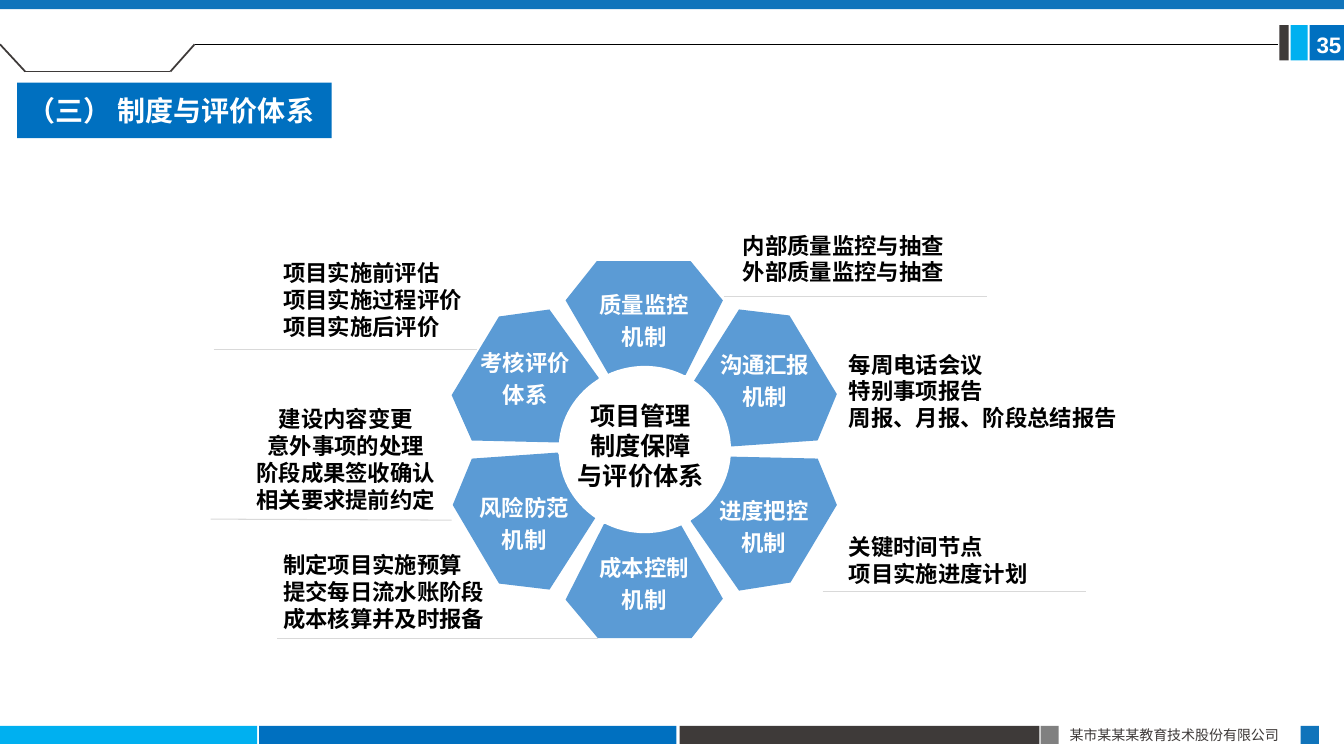
from pptx import Presentation
from pptx.dml.color import RGBColor
from pptx.enum import shapes, text
from pptx.oxml import ns
from pptx.util import Inches, Pt
from lxml import etree

COLORS = {
    "sky": "00B0F0", "blue": "0070C0", "band": "1074BB", "petal": "5B9BD5",
    "dark": "3E3A39", "gray": "808080", "rule": "D9D9D9",
    "white": "FFFFFF", "black": "000000",
}
CJK = "Noto Sans CJK SC"

presentation = Presentation()
presentation.slide_width = Inches(13.33)
presentation.slide_height = Inches(7.5)
slide = presentation.slides.add_slide(presentation.slide_layouts[5])


def write(shape, lines, size, color, align=text.PP_ALIGN.LEFT, name=CJK, bold=True, spacing=1.2):
    frame = shape.text_frame
    frame.word_wrap = True
    frame.text = "\n".join(lines)
    for paragraph in frame.paragraphs:
        paragraph.alignment = align
        paragraph.line_spacing = Pt(size * spacing)
        paragraph.font.size = Pt(size)
        paragraph.font.bold = bold
        paragraph.font.name = name
        paragraph.font.color.rgb = RGBColor.from_string(COLORS[color])


def paint(shape, color):
    shape.shadow.inherit = False
    shape.fill.solid()
    shape.fill.fore_color.rgb = RGBColor.from_string(COLORS[color])
    shape.line.fill.background()


bars = [
    (0, 7.2, 2.55, 0.18, "sky"),
    (2.57, 7.2, 4.14, 0.18, "blue"),
    (6.74, 7.2, 3.57, 0.18, "dark"),
    (10.32, 7.2, 0.18, 0.18, "gray"),
    (12.9, 7.2, 0.18, 0.18, "band"),
    (12.99, 0.25, 0.34, 0.35, "blue"),
    (12.8, 0.25, 0.17, 0.35, "sky"),
    (12.69, 0.25, 0.09, 0.35, "dark"),
    (0, 0, 13.33, 0.09, "band"),
]
for *box, color in bars:
    bar = slide.shapes.add_shape(shapes.MSO_SHAPE.RECTANGLE, *map(Inches, box))
    paint(bar, color)

title = slide.shapes.title
title.left, title.top, title.width, title.height = map(Inches, (0.17, 0.82, 3.12, 0.55))
title.fill.solid()
title.fill.fore_color.rgb = RGBColor.from_string(COLORS["blue"])
title.text_frame.auto_size = text.MSO_AUTO_SIZE.NONE
title.text_frame.vertical_anchor = text.MSO_ANCHOR.MIDDLE
write(title, ["（三） 制度与评价体系"], 20, "white", name="Calibri")

petals = [
    (("质量监控", "机制"),
     [(5.92, 2.59), (6.85, 2.59), (7.17, 2.98), (6.8, 3.72), (6.04, 3.72), (5.61, 2.98)]),
    (("沟通汇报", "机制"),
     [(7.33, 3.07), (7.83, 3.13), (8.3, 3.91), (8.11, 4.37), (7.25, 4.43), (6.87, 3.8)]),
    (("进度把控", "机制"),
     [(7.23, 4.53), (8.11, 4.55), (8.3, 5.01), (7.84, 5.78), (7.33, 5.86), (6.85, 5.17)]),
    (("成本控制", "机制"),
     [(5.99, 5.2), (6.75, 5.2), (7.17, 5.94), (6.86, 6.33), (5.93, 6.33), (5.61, 5.95)]),
    (("风险防范", "机制"),
     [(5.53, 4.49), (5.91, 5.13), (5.45, 5.85), (4.95, 5.79), (4.49, 5.01), (4.68, 4.55)]),
    (("考核评价", "体系"),
     [(5.45, 3.07), (5.94, 3.75), (5.56, 4.39), (4.68, 4.37), (4.48, 3.92), (4.95, 3.14)]),
]
for lines, corners in petals:
    points = [(Inches(x), Inches(y)) for x, y in corners]
    builder = slide.shapes.build_freeform(*points[0])
    builder.add_line_segments(points[1:], close=True)
    petal = builder.convert_to_shape()
    paint(petal, "petal")
    petal.text_frame.vertical_anchor = text.MSO_ANCHOR.MIDDLE
    write(petal, lines, 16, "white", text.PP_ALIGN.CENTER, spacing=1.44)

hub = slide.shapes.add_shape(
    shapes.MSO_SHAPE.OVAL, Inches(5.54), Inches(3.63), Inches(1.71), Inches(1.66))
paint(hub, "white")

rules = [
    (0.25, 0.71, 1.69, 0.71, "dark", 1.25),
    (1.69, 0.71, 1.93, 0.44, "dark", 1.25),
    (0.25, 0.71, 0, 0.44, "dark", 1.25),
    (1.93, 0.44, 12.68, 0.44, "black", 0.5),
    (7.18, 2.94, 9.79, 2.94, "rule", 0.75),
    (8.16, 5.87, 10.77, 5.87, "rule", 0.75),
    (2.09, 5.15, 4.48, 5.16, "rule", 0.75),
    (2.75, 6.33, 5.93, 6.33, "rule", 0.75),
    (2.12, 3.47, 4.73, 3.47, "rule", 0.75),
]
for *ends, color, width in rules:
    rule = slide.shapes.add_connector(shapes.MSO_CONNECTOR.STRAIGHT, *map(Inches, ends))
    rule.line.color.rgb = RGBColor.from_string(COLORS[color])
    rule.line.width = Pt(width)
    etree.SubElement(rule._element.spPr, ns.qn("a:effectLst"))

left, center = text.PP_ALIGN.LEFT, text.PP_ALIGN.CENTER
labels = [
    (5.44, 3.92, 1.83, 1.09, 18, center, ["项目管理", "制度保障", "与评价体系"]),
    (7.27, 2.25, 2.29, 0.94, 16, left, ["内部质量监控与抽查", "外部质量监控与抽查"]),
    (8.32, 3.43, 2.88, 1.18, 16, left, ["每周电话会议", "特别事项报告", "周报、月报、阶段总结报告"]),
    (8.32, 5.24, 2, 0.91, 16, left, ["关键时间节点", "项目实施进度计划"]),
    (2.43, 3.97, 2, 1.45, 16, center,
     ["建设内容变更", "意外事项的处理", "阶段成果签收确认", "相关要求提前约定"]),
    (2.71, 5.42, 2.22, 0.91, 16, left,
     ["制定项目实施预算", "提交每日流水账阶段", "成本核算并及时报备"]),
    (2.71, 2.52, 2, 1.18, 16, left, ["项目实施前评估", "项目实施过程评价", "项目实施后评价"]),
]
for *box, size, align, lines in labels:
    label = slide.shapes.add_textbox(*map(Inches, box))
    write(label, lines, size, "black", align)

company = slide.shapes.add_textbox(Inches(10.51), Inches(7.16), Inches(2.4), Inches(0.27))
write(company, ["某市某某某教育技术股份有限公司"], 10, "dark", bold=False)

number = slide.shapes.add_textbox(Inches(12.96), Inches(0.26), Inches(0.5), Inches(0.37))
write(number, ["35"], 16, "white", name="Arial")

presentation.save("out.pptx")
